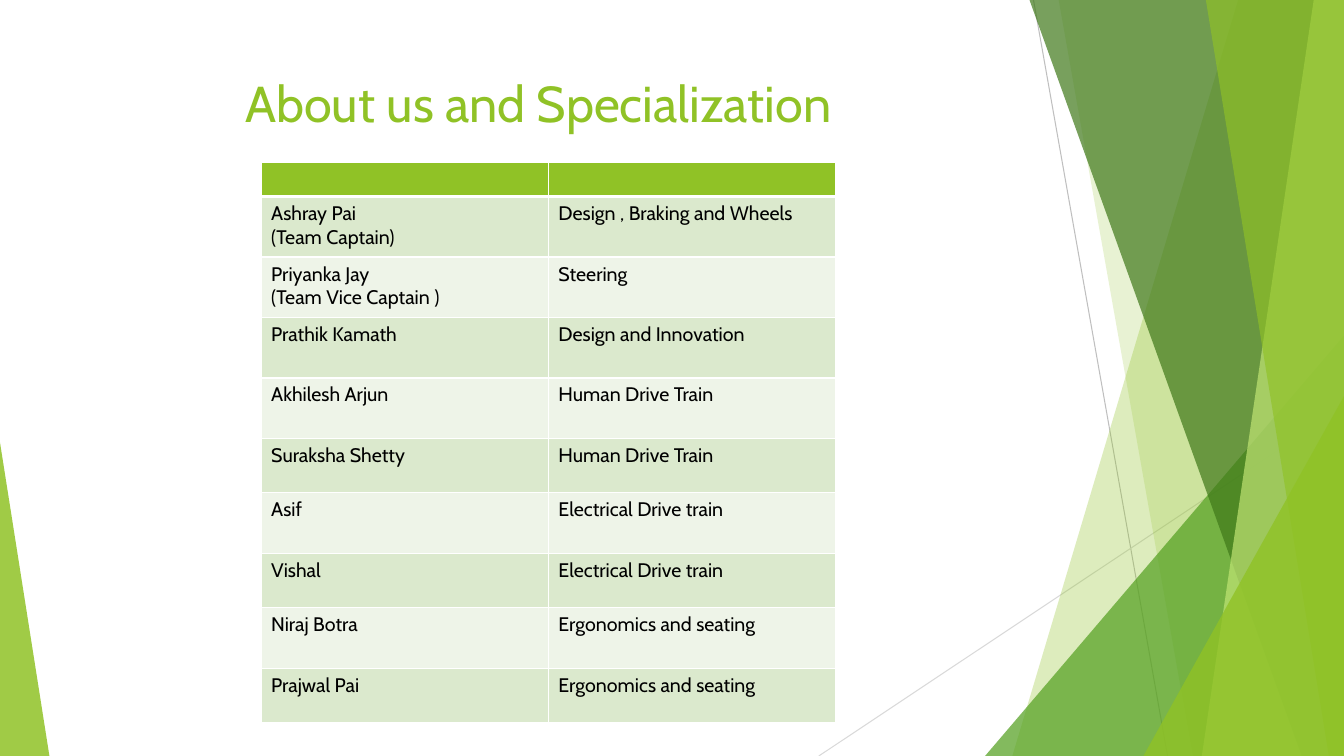
from lxml.etree import SubElement
from pptx import Presentation
from pptx.dml.color import RGBColor
from pptx.enum.shapes import MSO_CONNECTOR, MSO_SHAPE
from pptx.enum.text import MSO_ANCHOR, PP_ALIGN
from pptx.oxml import parse_xml
from pptx.oxml.ns import nsdecls, qn
from pptx.util import Inches, Pt

COLS, ROWS = 133.33, 75
FONT = "Cabin"
HUES = {
    "lime": "90C226", "leaf": "54A021", "moss": "3F7819", "pale": "C0E474",
    "grey": "BFBFBF", "mist": "D9D9D9", "odd": "DBE9CD", "even": "EEF4E8",
    "white": "FFFFFF", "black": "000000",
}
TEAM = [
    ("Ashray Pai \n(Team Captain)", "Design , Braking and Wheels"),
    ("Priyanka Jay \n(Team Vice Captain )", "Steering"),
    ("Prathik Kamath", "Design and Innovation"),
    ("Akhilesh Arjun", "Human Drive Train"),
    ("Suraksha Shetty", "Human Drive Train"),
    ("Asif", "Electrical Drive train"),
    ("Vishal", "Electrical Drive train"),
    ("Niraj Botra", "Ergonomics and seating"),
    ("Prajwal Pai", "Ergonomics and seating"),
]
HEIGHTS = [3.4, 6, 6, 6, 6, 5.4, 6, 5.4, 6, 5.4]


def grid(*cells):
    return [Inches(cell / 10) for cell in cells]


def color(name):
    return RGBColor.from_string(HUES[name])


def style(para, size, name):
    para.font.name = FONT
    para.font.size = Pt(size)
    para.font.color.rgb = color(name)


def tint(shape, name, alpha):
    shape.shadow.inherit = False
    shape.fill.solid()
    shape.fill.fore_color.rgb = color(name)
    shape.line.fill.background()
    hue = shape._element.spPr.find(".//" + qn("a:srgbClr"))
    SubElement(hue, qn("a:alpha"), val=str(alpha * 1000))


def add_line(slide, ends, name):
    line = slide.shapes.add_connector(MSO_CONNECTOR.STRAIGHT, *grid(*ends))
    line.line.color.rgb = color(name)
    line.line.width = Pt(0.75)
    SubElement(line._element.spPr, qn("a:effectLst"))


def add_pane(slide, box, top, foot, name, alpha):
    left, head, width, height = box
    right, base = left + width, head + height
    points = [(right, head), (right, base), (left + foot, base)]
    pen = slide.shapes.build_freeform(*grid(left + top, head), scale=1.0)
    pen.add_line_segments([grid(*point) for point in points], close=True)
    tint(pen.convert_to_shape(), name, alpha)


def add_wedge(slide, box, lean, name, alpha):
    wedge = slide.shapes.add_shape(MSO_SHAPE.ISOSCELES_TRIANGLE, *grid(*box))
    wedge.adjustments[0] = lean
    tint(wedge, name, alpha)


def add_facets(slide, box):
    left, head, width, height = box
    right, base = left + width, head + height
    add_line(slide, (left + 4.8, head, left + 18.1, base), "grey")
    add_line(slide, (right, head + 40.3, left - 16.5, base), "mist")
    add_pane(slide, box, 25.1, 2.7, "lime", 30)
    add_pane(slide, box, 7.3, 20.6, "lime", 20)
    add_wedge(slide, (left, base - 41.7, width, 41.7), 1, "leaf", 72)
    add_pane(slide, box, 4.4, 31.4, "moss", 70)
    add_pane(slide, box, 32.6, 21.5, "pale", 70)
    add_pane(slide, box, 21.9, 34.1, "lime", 65)
    add_wedge(slide, (right - 19.9, base - 35.7, 19.9, 35.7), 1, "lime", 80)


def add_title(slide, box, text):
    frame = slide.shapes.add_textbox(*grid(*box)).text_frame
    frame.word_wrap = True
    frame.vertical_anchor = MSO_ANCHOR.TOP
    para = frame.paragraphs[0]
    para.text = text
    para.alignment = PP_ALIGN.CENTER
    style(para, 36, "lime")


def edge(cell, sides):
    props = cell._tc.get_or_add_tcPr()
    for spot, (side, width) in enumerate(sides.items()):
        props.insert(spot, parse_xml(
            f'<a:ln{side} {nsdecls("a")} w="{Pt(width)}"><a:solidFill>'
            f'<a:srgbClr val="{HUES["white"]}"/></a:solidFill></a:ln{side}>'))


def add_team(slide, box):
    rows = [("", "")] + TEAM
    table = slide.shapes.add_table(len(rows), 2, *grid(*box)).table
    for col in table.columns:
        col.width = grid(box[2] / 2)[0]
    for row, (height, texts) in enumerate(zip(HEIGHTS, rows)):
        table.rows[row].height = grid(height)[0]
        name = ("even", "odd")[row % 2] if row else "lime"
        for col, text in enumerate(texts):
            cell = table.cell(row, col)
            cell.fill.solid()
            cell.fill.fore_color.rgb = color(name)
            edge(cell, {"L": 1, "R": 1, "T": 3 if row == 1 else 1,
                        "B": 1 if row else 3})
            para = cell.text_frame.paragraphs[0]
            para.text = text
            style(para, 14, "black")
            if not text:
                SubElement(para._p, qn("a:endParaRPr"), sz="1400")


def main():
    deck = Presentation()
    deck.slide_width, deck.slide_height = grid(COLS, ROWS)
    slide = deck.slides.add_slide(deck.slide_layouts[6])
    add_facets(slide, (COLS - 35.6, 0, 35.6, ROWS))
    add_wedge(slide, (0, ROWS - 31.1, 4.9, 31.1), 0, "lime", 85)
    add_title(slide, (7.4, 6.7, 92, 14.4), "About us and Specialization")
    add_team(slide, (25.9, 16.1, 57, sum(HEIGHTS)))
    deck.save("out.pptx")


if __name__ == "__main__":
    main()
